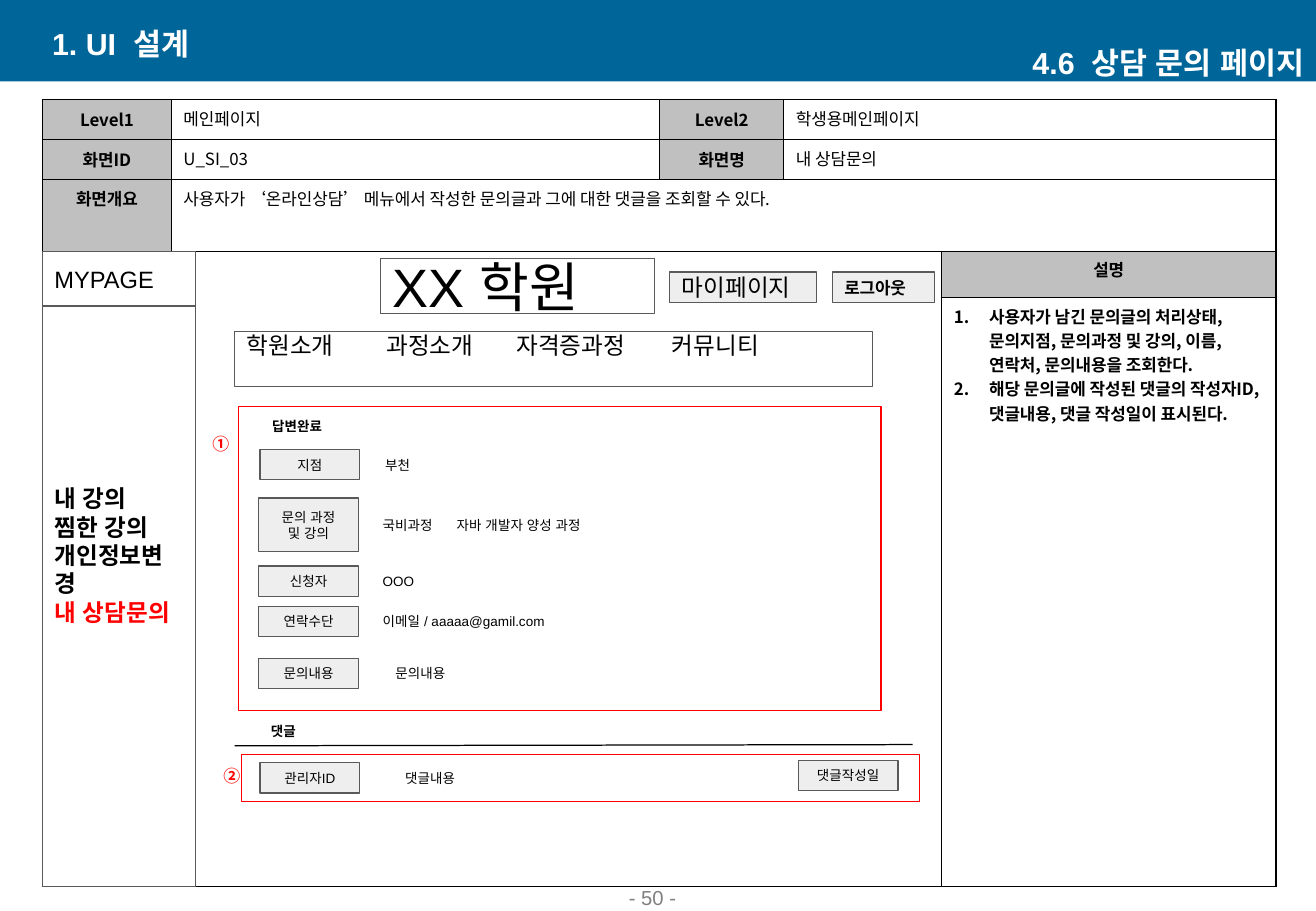
from dataclasses import dataclass

from lxml.etree import SubElement as Sub
from pptx import Presentation
from pptx.dml.color import RGBColor as Color
from pptx.enum.shapes import MSO_CONNECTOR as Link, MSO_SHAPE as Form
from pptx.enum.text import MSO_ANCHOR as Anchor, PP_ALIGN as Align
from pptx.oxml.ns import qn
from pptx.slide import Slide
from pptx.table import Table, _Cell as Cell
from pptx.text.text import _Paragraph as Para
from pptx.util import Pt

PX = 9144
SANS = "Arial"
CJK = "Noto Sans CJK KR"
BLACK = Color(0, 0, 0)
WHITE = Color(255, 255, 255)
BLUE = Color(0, 0x66, 0x99)
RED = Color(255, 0, 0)
GREY = Color(0x80, 0x80, 0x80)
SILVER = Color(0xC0, 0xC0, 0xC0)
PALE = Color(0xEE, 0xEE, 0xEE)
DARK = Color(0x59, 0x59, 0x59)


@dataclass(frozen=True)
class Box:
    x: int
    y: int
    w: int
    h: int
    text: str = ""
    size: int = 8
    bold: bool = False
    align: Align = Align.LEFT
    fill: Color | None = None
    line: Color | None = None
    color: Color = BLACK
    font: str = SANS
    low: int = 5
    tabs: tuple[int, ...] = ()


@dataclass(frozen=True)
class Entry:
    row: int
    col: int
    text: str
    head: bool = False
    rows: int = 1
    cols: int = 1
    anchor: Anchor = Anchor.TOP


@dataclass(frozen=True)
class Field:
    x: int
    y: int
    h: int
    label: str
    value: str
    left: int
    width: int = 82
    align: Align = Align.LEFT
    tabs: tuple[int, ...] = ()


def style(para: Para, size: int, bold: bool, color: Color, face: str) -> None:
    for run in para.runs:
        font = run.font
        font.size, font.bold, font.name = Pt(size), bold, face
        font.color.rgb = color
        Sub(font._element, qn("a:ea"), typeface=face)


def draw(slide: Slide, box: Box) -> None:
    place = [n * PX for n in (box.x, box.y, box.w, box.h)]
    if box.fill is None and box.line is None:
        shape = slide.shapes.add_textbox(*place)
    else:
        shape = slide.shapes.add_shape(Form.RECTANGLE, *place)
        shape.shadow.inherit = False
        if box.fill is None:
            shape.fill.background()
        else:
            shape.fill.solid()
            shape.fill.fore_color.rgb = box.fill
        if box.line is None:
            shape.line.fill.background()
        else:
            shape.line.color.rgb = box.line
            shape.line.width = Pt(0.75)
    if not box.text:
        return
    frame = shape.text_frame
    frame.word_wrap = True
    frame.vertical_anchor = Anchor.MIDDLE
    frame.margin_left = frame.margin_right = 10 * PX
    frame.margin_top, frame.margin_bottom = 5 * PX, box.low * PX
    frame.text = box.text
    for para in frame.paragraphs:
        para.alignment = box.align
        marked = len(frame.paragraphs) > 2 and para.text == "내 상담문의"
        style(para, box.size, box.bold, RED if marked else box.color, box.font)
        if box.tabs:
            stops = Sub(para._p.get_or_add_pPr(), qn("a:tabLst"))
            for stop in box.tabs:
                Sub(stops, qn("a:tab"), pos=str(stop * PX), algn="l")


def edge(cell: Cell) -> None:
    props = cell._tc.get_or_add_tcPr()
    for spot, side in enumerate("LRTB"):
        line = Sub(props, qn(f"a:ln{side}"), w=str(Pt(1)))
        ink = Sub(line, qn("a:solidFill"))
        Sub(ink, qn("a:srgbClr"), val=str(BLACK))
        props.insert(spot, line)


def enter(table: Table, item: Entry) -> None:
    cell = table.cell(item.row, item.col)
    if item.rows * item.cols > 1:
        cell.merge(table.cell(item.row + item.rows - 1, item.col + item.cols - 1))
    cell.vertical_anchor = item.anchor
    cell.text = item.text
    if item.head:
        cell.fill.fore_color.rgb = SILVER
    listed = item.row == 4
    for para in cell.text_frame.paragraphs:
        para.alignment = Align.CENTER if item.head else Align.LEFT
        style(para, 10, item.head or listed, BLACK, CJK)
        if listed:
            props = para._p.get_or_add_pPr()
            props.set("marL", str(29 * PX))
            props.set("indent", str(-29 * PX))
            Sub(props, qn("a:buFont"), typeface=CJK)
            Sub(props, qn("a:buAutoNum"), type="arabicPeriod")


def grid(slide: Slide) -> None:
    wide = (106, 402, 102, 130, 275)
    high = (33, 33, 59, 38, 485)
    place = [n * PX for n in (35, 82, sum(wide), sum(high))]
    table = slide.shapes.add_table(len(high), len(wide), *place).table
    table.first_row = table.horz_banding = False
    for col, width in zip(table.columns, wide):
        col.width = width * PX
    for row, height in zip(table.rows, high):
        row.height = height * PX
    for cell in table.iter_cells():
        cell.fill.solid()
        cell.fill.fore_color.rgb = WHITE
        edge(cell)
    for item in ENTRIES:
        enter(table, item)


def rule(slide: Slide) -> None:
    ends = [n * PX for n in (193, 614, 751, 613)]
    line = slide.shapes.add_connector(Link.STRAIGHT, *ends)
    line.line.color.rgb = BLACK
    line.line.width = Pt(0.75)
    Sub(line._element.spPr, qn("a:effectLst"))


MID = Anchor.MIDDLE
ENTRIES = [
    Entry(0, 0, "Level1", True, anchor=MID),
    Entry(0, 1, "메인페이지"),
    Entry(0, 2, "Level2", True, anchor=MID),
    Entry(0, 3, "학생용메인페이지", cols=2),
    Entry(1, 0, "화면ID", True, anchor=MID),
    Entry(1, 1, "U_SI_03"),
    Entry(1, 2, "화면명", True, anchor=MID),
    Entry(1, 3, "내 상담문의", cols=2),
    Entry(2, 0, "화면개요", True),
    Entry(2, 1, "사용자가 ‘온라인상담’ 메뉴에서 작성한 문의글과 그에 대한 댓글을 조회할 수 있다.", cols=4),
    Entry(3, 0, "", rows=2, cols=4),
    Entry(3, 4, "설명", True),
    Entry(4, 4, "사용자가 남긴 문의글의 처리상태, 문의지점, 문의과정 및 강의, 이름, 연락처, 문의내용을 조회한다.\n"
                "해당 문의글에 작성된 댓글의 작성자ID, 댓글내용, 댓글 작성일이 표시된다."),
]
HEADS = [
    Box(0, 0, 1083, 67, fill=BLUE),
    Box(424, 730, 226, 23, "- 50 -", 12, align=Align.CENTER, color=GREY, low=10),
    Box(645, 35, 438, 33, "4.6  상담 문의 페이지", 18, True, Align.RIGHT, color=WHITE),
    Box(33, 19, 438, 33, "1. UI  설계", 18, True, color=WHITE),
]
PARTS = [
    Box(313, 213, 226, 45, "XX 학원", 32, fill=WHITE, line=DARK),
    Box(35, 207, 126, 523, "내 강의\n찜한 강의\n개인정보변경\n내 상담문의", 14, True,
        fill=WHITE, line=DARK, low=28),
    Box(35, 207, 126, 45, "MYPAGE", 14, fill=WHITE, line=DARK),
    Box(193, 273, 525, 45, "학원소개\t과정소개\t자격증과정\t커뮤니티", 14,
        fill=WHITE, line=DARK, low=28, tabs=(115, 222, 350)),
    Box(551, 224, 121, 25, "마이페이지", 14, fill=PALE, line=DARK),
    Box(685, 224, 84, 25, "로그아웃", 10, True, fill=PALE, line=DARK),
    Box(165, 349, 34, 37, "①", 10, True, color=RED, font=CJK, low=9),
    Box(174, 622, 34, 37, "②", 10, True, color=RED, font=CJK, low=9),
    Box(214, 338, 82, 25, "답변완료", bold=True),
    Box(213, 589, 82, 25, "댓글", bold=True),
    Box(657, 626, 82, 25, "댓글작성일", align=Align.CENTER, fill=PALE, line=DARK),
    Box(196, 335, 529, 250, line=RED),
    Box(199, 621, 558, 39, line=RED),
]
FIELDS = [
    Field(214, 370, 25, "지점", "부천", 307),
    Field(213, 410, 44, "문의 과정\n및 강의", "국비과정\t자바 개발자 양성 과정", 305, 219, tabs=(61,)),
    Field(213, 466, 25, "신청자", "OOO", 305),
    Field(213, 499, 25, "연락수단", "이메일 / aaaaa@gamil.com", 305, 295),
    Field(213, 542, 25, "문의내용", "문의내용", 305, align=Align.CENTER),
    Field(214, 628, 25, "관리자ID", "댓글내용", 313, align=Align.CENTER),
]


def main() -> None:
    deck = Presentation()
    deck.slide_width, deck.slide_height = 1083 * PX, 750 * PX
    slide = deck.slides.add_slide(deck.slide_layouts[6])
    for box in HEADS:
        draw(slide, box)
    grid(slide)
    for box in PARTS:
        draw(slide, box)
    for item in FIELDS:
        draw(slide, Box(item.x, item.y, 82, item.h, item.label,
                        align=Align.CENTER, fill=PALE, line=DARK))
        draw(slide, Box(item.left, item.y, item.width, item.h, item.value,
                        align=item.align, tabs=item.tabs))
    rule(slide)
    deck.save("out.pptx")


if __name__ == "__main__":
    main()
